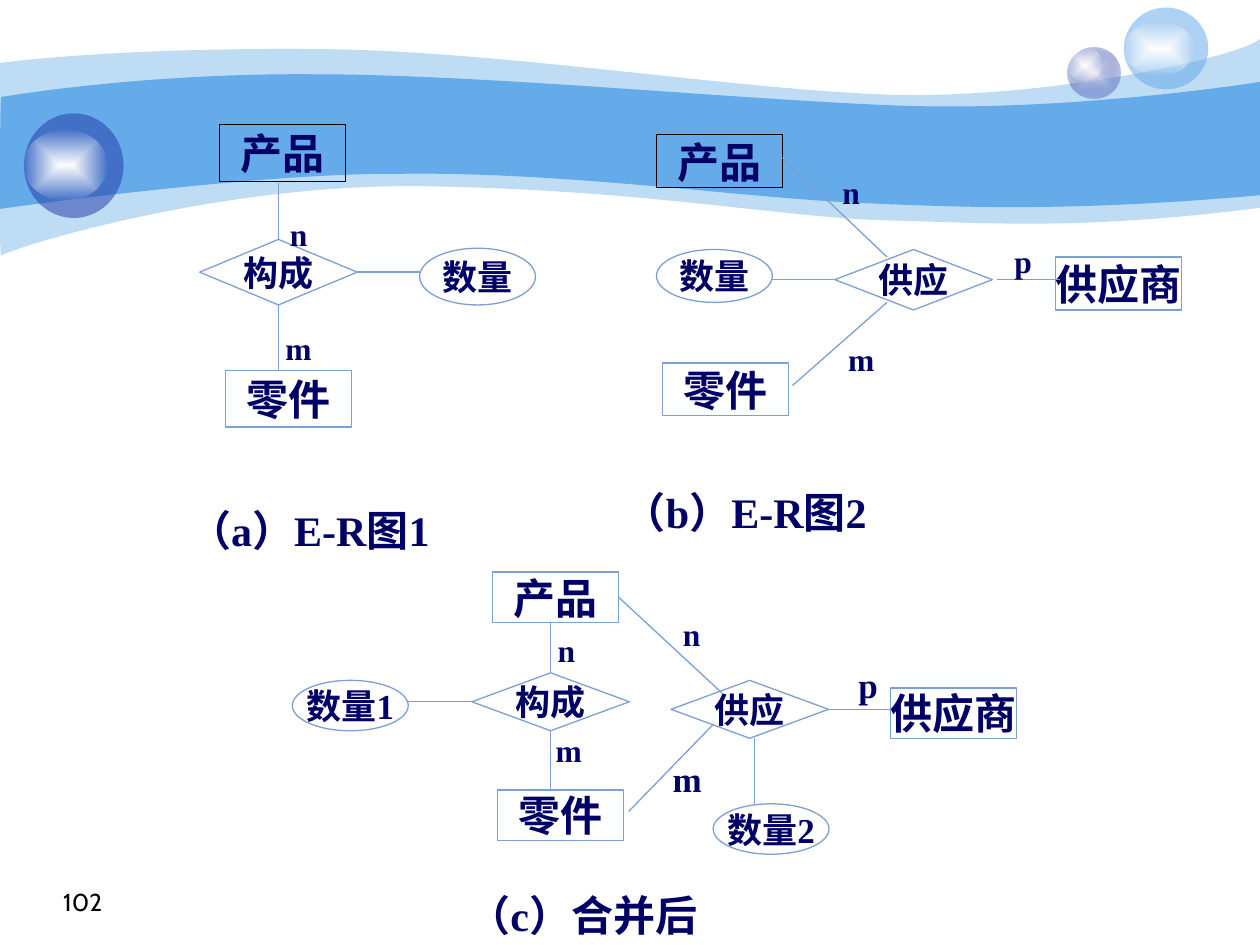
import pptx
import pptx.dml.color
import pptx.enum.shapes
import pptx.enum.text
import pptx.oxml
import pptx.oxml.ns
import pptx.util

Inches, Pt = pptx.util.Inches, pptx.util.Pt
RGBColor = pptx.dml.color.RGBColor
MSO = pptx.enum.shapes.MSO_SHAPE
ANCHOR = pptx.enum.text.MSO_ANCHOR
ALIGN = pptx.enum.text.PP_ALIGN
qn = pptx.oxml.ns.qn
NS = pptx.oxml.ns.nsdecls("a")

SKY = RGBColor(0x65, 0xAA, 0xE9)
ROYAL = RGBColor(0x23, 0x3D, 0xA9)
PALE = RGBColor(0xE1, 0xE2, 0xED)
WHITE = RGBColor(0xFF, 0xFF, 0xFF)
BLACK = RGBColor(0, 0, 0)
NAVY = RGBColor(0, 0, 0x66)
STEEL = RGBColor(0x7D, 0xA0, 0xD3)

# Wave: opacity, then a start point; six numbers are a curve, two a straight line
WAVES = [
    (41, (0, 0.5), [
        (0.24, 0.47, 1.07, 0.38, 2.47, 0.39), (3.86, 0.39, 5.75, 0.7, 6.99, 0.75),
        (8.22, 0.8, 9.8, 0.47, 10, 0.31), (10, 1.65),
        (8.58, 1.83, 7.87, 1.77, 7.05, 1.75), (6.22, 1.73, 5.15, 1.51, 3.43, 1.48),
        (1.72, 1.44, 0.04, 1.99, 0.01, 2.03), (-0.01, 2.08, 0, 0.75, 0, 0.5)]),
    (100, (0.01, 0.77), [
        (0.02, 0.77, 1.1, 0.58, 2.48, 0.59), (3.86, 0.59, 5.95, 0.8, 7.18, 0.84),
        (8.41, 0.88, 9.76, 0.69, 10, 0.65), (10, 1.55),
        (8.53, 1.68, 7.65, 1.65, 6.82, 1.61), (5.99, 1.58, 4.47, 1.36, 3.17, 1.38),
        (2.03, 1.37, -0.02, 1.66, -0.01, 1.66), (0, 1.66, 0, 0.77, 0.01, 0.77)]),
]

# Bubble: ball box, ball colour stops (colour, opacity), highlight box
BUBBLES = [
    ((8.47, 0.38, 0.42, 0.4), [(PALE, 100), (ROYAL, 31)], (8.47, 0.38, 0.28, 0.27)),
    ((8.92, 0.06, 0.67, 0.65), [(SKY, 53)], (8.92, 0.17, 0.56, 0.43)),
    ((0.19, 0.9, 0.79, 0.83), [(ROYAL, 53)], (0.19, 1.03, 0.66, 0.56)),
]

# Kind of node: shape, width, text size
KINDS = {
    "entity": (MSO.RECTANGLE, 1, 24),
    "relation": (MSO.FLOWCHART_DECISION, 1.25, 20),
    "attribute": (MSO.OVAL, 0.92, 20),
}

# nodes: kind, text, left, top (centre x, y for a relation), height, outline
# lines: from x, y, to x, y
# marks: text, left, top, width, height, size, line spacing
DIAGRAMS = [
    {"nodes": [("entity", "产品", 1.74, 0.99, 0.45, BLACK),
               ("entity", "零件", 1.79, 2.94, 0.45, STEEL),
               ("relation", "构成", 2.21, 2.16, 0.52, STEEL),
               ("attribute", "数量", 3.33, 1.97, 0.45, STEEL)],
     "lines": [(2.83, 2.16, 3.33, 2.16), (2.21, 1.45, 2.21, 1.9), (2.21, 2.42, 2.21, 2.94)],
     "marks": [("n", 1.87, 1.51, 1, 0.45, 18, 1.8), ("m", 1.87, 2.42, 1, 0.45, 18, 1.8),
               ("（a）E-R图1", 0.83, 3.78, 3.25, 0.52, 24, 1.8)]},
    {"nodes": [("entity", "产品", 5.21, 1.07, 0.42, BLACK),
               ("entity", "零件", 5.26, 2.88, 0.42, STEEL),
               ("entity", "供应商", 8.38, 2.04, 0.42, STEEL),
               ("relation", "供应", 7.25, 2.22, 0.48, STEEL),
               ("attribute", "数量", 5.21, 1.98, 0.42, STEEL)],
     "lines": [(6.12, 2.22, 6.62, 2.22), (7.91, 2.22, 8.41, 2.22),
               (6.21, 1.25, 7.04, 2.04), (6.29, 3.06, 7.04, 2.4)],
     "marks": [("n", 6.38, 1.31, 0.75, 0.42, 18, 1), ("p", 7.62, 1.86, 1, 0.42, 18, 1),
               ("m", 6.46, 2.64, 0.75, 0.42, 18, 1),
               ("（b）E-R图2", 4.29, 3.66, 3.25, 0.48, 24, 1.8)]},
    {"nodes": [("entity", "产品", 3.91, 4.54, 0.4, STEEL),
               ("entity", "零件", 3.95, 6.27, 0.4, STEEL),
               ("entity", "供应商", 7.07, 5.46, 0.4, STEEL),
               ("relation", "构成", 4.37, 5.57, 0.46, STEEL),
               ("relation", "供应", 5.95, 5.63, 0.46, STEEL),
               ("attribute", "数量1", 2.32, 5.4, 0.4, STEEL),
               ("attribute", "数量2", 5.66, 6.38, 0.4, STEEL)],
     "lines": [(3.24, 5.57, 3.74, 5.57), (4.37, 4.94, 4.37, 5.34), (4.37, 5.8, 4.37, 6.27),
               (6.57, 5.63, 7.07, 5.63), (4.9, 4.75, 5.73, 5.5), (4.99, 6.44, 5.66, 5.75),
               (5.99, 5.86, 5.99, 6.38)],
     "marks": [("n", 4.13, 5.02, 0.73, 0.27, 18, 1), ("m", 4.13, 5.81, 0.77, 0.29, 18, 1),
               ("n", 4.99, 4.83, 1, 0.4, 18, 1), ("p", 6.57, 5.23, 0.64, 0.4, 20, 1),
               ("m", 5.07, 5.98, 0.77, 0.4, 20, 1),
               ("（c）合并后", 3, 6.87, 3.25, 0.46, 24, 1.8)]},
]


def write(sp, text, size, spacing=1, name="Times New Roman", color=NAVY, bold=True,
          align=ALIGN.CENTER, anchor=ANCHOR.MIDDLE, wrap=False):
    tf = sp.text_frame
    tf.word_wrap, tf.vertical_anchor = wrap, anchor
    p = tf.paragraphs[0]
    p.alignment, p.line_spacing = align, spacing
    r = p.add_run()
    r.text = text
    for key, value in {"name": name, "size": Pt(size), "bold": bold}.items():
        setattr(r.font, key, value)
    r.font.color.rgb = color


def paint(sp, stops):
    """Fill without outline: one (colour, opacity) is solid, two shade from the centre out."""
    sp.shadow.inherit = False
    sp.line.fill.background()
    colors = [f'<a:srgbClr val="{c}"><a:alpha val="{a * 1000}"/></a:srgbClr>' for c, a in stops]
    if len(stops) == 1:
        tag, body = "solidFill", colors[0]
    else:
        gs = "".join(f'<a:gs pos="{i * 100000}">{c}</a:gs>' for i, c in enumerate(colors))
        tag = "gradFill"
        body = (f'<a:gsLst>{gs}</a:gsLst><a:path path="shape">'
                '<a:fillToRect l="50000" t="50000" r="50000" b="50000"/></a:path>')
    sp.fill.background()
    old = sp._element.spPr.find(qn("a:noFill"))
    old.getparent().replace(old, pptx.oxml.parse_xml(f"<a:{tag} {NS}>{body}</a:{tag}>"))


def add_wave(s, opacity, start, segments):
    """Lay all points as lines, then merge each three lines of a curve into one Bézier."""
    points = [(Inches(seg[i]), Inches(seg[i + 1]))
              for seg in segments for i in range(0, len(seg), 2)]
    builder = s.shapes.build_freeform(*map(Inches, start))
    builder.add_line_segments(points, close=True)
    sp = builder.convert_to_shape()
    lines = iter(list(sp._element.iter(qn("a:lnTo"))))
    for seg in segments:
        parts = [next(lines) for _ in range(len(seg) // 2)]
        if len(parts) == 3:
            curve = pptx.oxml.parse_xml(f"<a:cubicBezTo {NS}/>")
            parts[0].addprevious(curve)
            for part in parts:
                curve.append(part[0])
                part.getparent().remove(part)
    paint(sp, [(SKY, opacity)])


def add_ball(s, box, stops):
    paint(s.shapes.add_shape(MSO.OVAL, *map(Inches, box)), stops)


def add_node(s, kind, text, x, y, height, color):
    shape, width, size = KINDS[kind]
    if kind == "relation":
        x, y = x - width / 2, y - height / 2
    sp = s.shapes.add_shape(shape, *map(Inches, (x, y, width, height)))
    sp.shadow.inherit = False
    sp.fill.background()
    sp.line.color.rgb, sp.line.width = color, Pt(0.75)
    write(sp, text, size)
    return sp


def side_at(nodes, x, y):
    """Node and side whose middle lies at the point, if any."""
    for sp in nodes:
        cx, cy = sp.left + sp.width // 2, sp.top + sp.height // 2
        sides = [(cx, sp.top), (sp.left, cy), (cx, sp.top + sp.height), (sp.left + sp.width, cy)]
        for i, (sx, sy) in enumerate(sides):
            if max(abs(sx - Inches(x)), abs(sy - Inches(y))) < Inches(0.02):
                return sp, i
    return None


def add_line(s, nodes, x1, y1, x2, y2):
    line = s.shapes.add_connector(pptx.enum.shapes.MSO_CONNECTOR.STRAIGHT,
                                  *map(Inches, (x1, y1, x2, y2)))
    line.line.color.rgb, line.line.width = STEEL, Pt(0.75)
    line._element.spPr.append(pptx.oxml.parse_xml(f"<a:effectLst {NS}/>"))
    for join, x, y in ((line.begin_connect, x1, y1), (line.end_connect, x2, y2)):
        target = side_at(nodes, x, y)
        if target:
            join(*target)


def main():
    prs = pptx.Presentation()
    prs.slide_width, prs.slide_height = Inches(10), Inches(7.5)
    s = prs.slides.add_slide(prs.slide_layouts[6])
    for wave in WAVES:
        add_wave(s, *wave)
    for ball, stops, highlight in BUBBLES:
        add_ball(s, ball, stops)
        add_ball(s, highlight, [(WHITE, 100), (WHITE, 0)])
    for diagram in DIAGRAMS:
        nodes = [(node[0], add_node(s, *node)) for node in diagram["nodes"]]
        joinable = [sp for kind, sp in nodes if kind != "attribute"]
        for ends in diagram["lines"]:
            add_line(s, joinable, *ends)
        for text, *box, size, spacing in diagram["marks"]:
            write(s.shapes.add_textbox(*map(Inches, box)), text, size, spacing)
    number = s.shapes.add_textbox(*map(Inches, (0.27, 6.82, 0.64, 0.5)))
    write(number, "102", 14, name="Cabin", color=BLACK, bold=False,
          align=ALIGN.RIGHT, anchor=ANCHOR.BOTTOM, wrap=True)
    prs.save("out.pptx")


if __name__ == "__main__":
    main()
